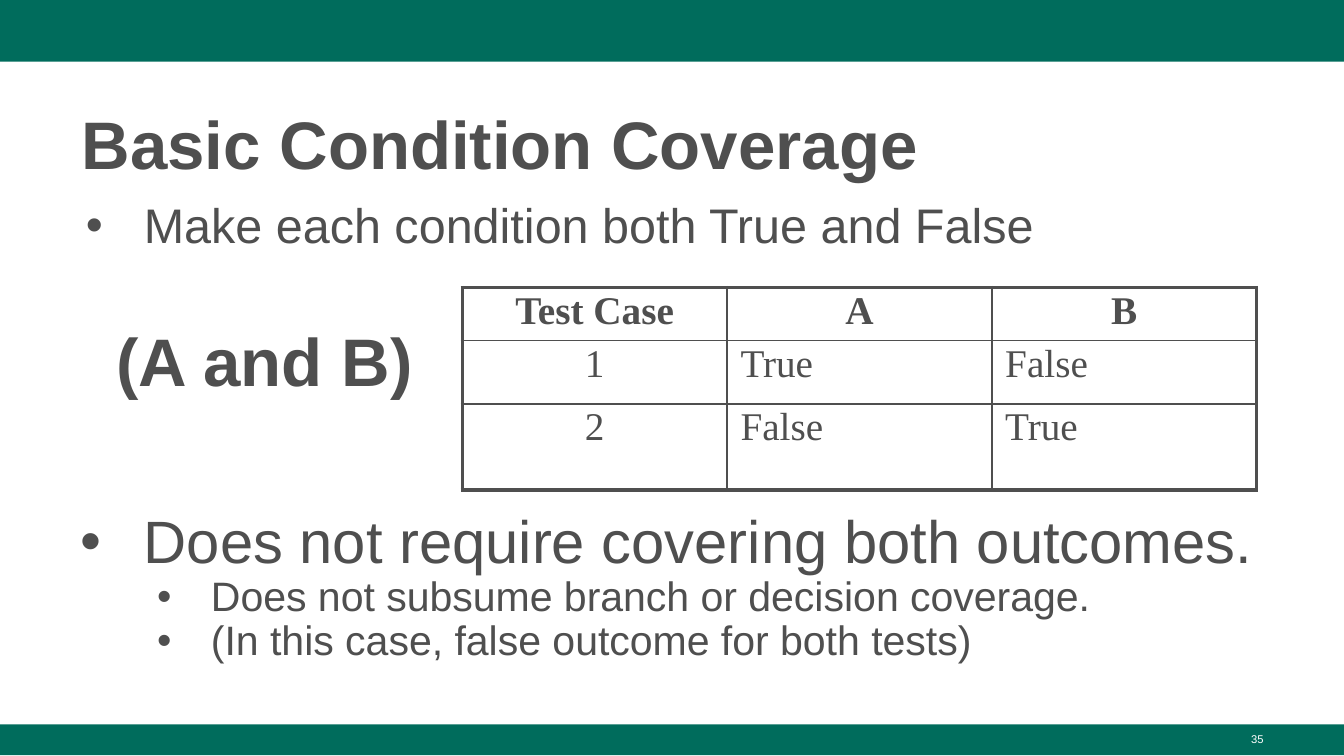
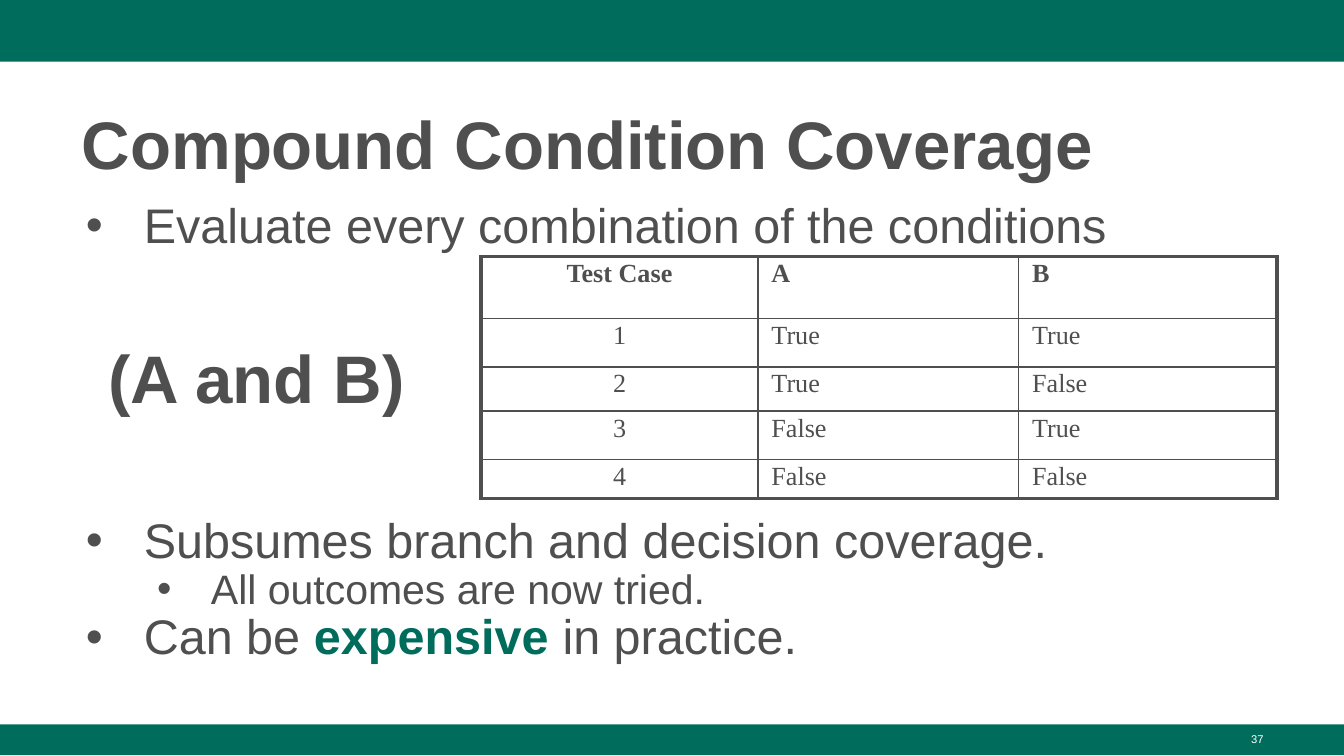
"""Build two slides on basic and compound condition coverage."""
from lxml import etree
from pptx import Presentation
from pptx import util as u
from pptx.dml.color import RGBColor
from pptx.enum import shapes, text
from pptx.oxml import parse_xml
from pptx.oxml.ns import qn

Inches, Pt = u.Inches, u.Pt
GREEN, GREY, WHITE = "006C5C", "4F4F4F", "FFFFFF"
NS = 'xmlns:a="http://schemas.openxmlformats.org/drawingml/2006/main"'
LEFT, CENTER, RIGHT = text.PP_ALIGN.LEFT, text.PP_ALIGN.CENTER, text.PP_ALIGN.RIGHT
LINE_SPACING = 0.9


def style(font, size, color=GREY, bold=False, name="Arial"):
    font.name, font.size, font.bold = name, Pt(size), bold
    font.color.rgb = RGBColor.from_string(color)


def add_frame(slide, box, insets):
    frame = slide.shapes.add_textbox(*map(Inches, box)).text_frame
    frame.word_wrap = True
    (frame.margin_left, frame.margin_top,
     frame.margin_right, frame.margin_bottom) = map(Inches, insets)
    return frame


pages = [
    dict(
        title="Basic Condition Coverage", number="35",
        bullets=[
            (0, 0.43, 26, 0, ["Make each condition both True and False"]),
            (0, 0.47, 32, 138, ["Does not require covering both outcomes."]),
            (1, 0.4, 22, 0, ["Does not subsume branch or decision coverage."]),
            (1, 0.4, 22, 0, ["(In this case, false outcome for both tests)"]),
        ],
        table_at=(3.44, 2.14), columns=[1.97] * 3, heights=[0.37, 0.47, 0.64],
        table_size=21, header_align=CENTER,
        cases=[("True", "False"), ("False", "True")],
        expression_at=(0.77, 2.28),
    ),
    dict(
        title="Compound Condition Coverage", number="37",
        bullets=[
            (0, 0.43, 26, 0, ["Evaluate every combination of the conditions"]),
            (0, 0.43, 26, 140.5, ["Subsumes branch and decision coverage."]),
            (1, 0.4, 22, 0, ["All outcomes are now tried."]),
            (0, 0.43, 26, 0, ["Can be ", "expensive", " in practice."]),
        ],
        table_at=(3.58, 1.91), columns=[2.06, 1.94, 1.92],
        heights=[0.46, 0.36, 0.33, 0.36, 0.28],
        table_size=14, header_align=LEFT,
        cases=[("True", "True"), ("True", "False"), ("False", "True"), ("False", "False")],
        expression_at=(0.71, 2.4),
    ),
]

deck = Presentation()
deck.slide_width = Inches(10)
deck.slide_height = deck.slide_width * 9 // 16

for page in pages:
    slide = deck.slides.add_slide(deck.slide_layouts[6])

    for top, height in [(0, 0.46), (5.39, 0.23)]:
        band = slide.shapes.add_shape(
            shapes.MSO_SHAPE.RECTANGLE, 0, Inches(top), deck.slide_width, Inches(height))
        band.shadow.inherit = False
        band.fill.solid()
        band.fill.fore_color.rgb = RGBColor.from_string(GREEN)
        band.line.fill.background()

    heading = add_frame(slide, (0.51, 0.67, 8.99, 0.73), (0.1, 0.05, 0.05, 0.05))
    heading.vertical_anchor = text.MSO_ANCHOR.MIDDLE
    title = heading.paragraphs[0]
    title.text = page["title"]
    title.line_spacing = 1.08
    style(title.font, 36, bold=True)

    body = add_frame(slide, (0.51, 1.4, 8.99, 3.81), (0.06, 0.1, 0.1, 0.05))
    for index, (level, hang, size, before, parts) in enumerate(page["bullets"]):
        bullet = body.add_paragraph() if index else body.paragraphs[0]
        bullet.level = level
        bullet.line_spacing = LINE_SPACING
        if before:
            bullet.space_before = Pt(before)
        props = bullet._p.get_or_add_pPr()
        props.set("marL", str(Inches(0.5 * (level + 1))))
        props.set("indent", str(-Inches(hang)))
        color = etree.SubElement(props, qn("a:buClr"))
        etree.SubElement(color, qn("a:srgbClr"), val=GREY)
        etree.SubElement(props, qn("a:buFont"), typeface="Arial")
        etree.SubElement(props, qn("a:buChar"), char="•")
        style(bullet.font, size)
        for part in parts:
            run = bullet.add_run()
            run.text = part
            if part == "expensive":
                style(run.font, size, GREEN, True)

    rows = [("Test Case", "A", "B")]
    rows += [(str(number), *case) for number, case in enumerate(page["cases"], 1)]
    columns, heights = page["columns"], page["heights"]
    cases = slide.shapes.add_table(
        len(rows), len(columns), *map(Inches, page["table_at"]),
        Inches(sum(columns)), Inches(sum(heights))).table
    cases.first_row = cases.horz_banding = False
    for column, width in zip(cases.columns, columns):
        column.width = Inches(width)
    for r, values in enumerate(rows):
        cases.rows[r].height = Inches(heights[r])
        for c, value in enumerate(values):
            cell = cases.cell(r, c)
            cell.margin_left = cell.margin_right = Inches(0.1)
            cell.margin_top = cell.margin_bottom = Inches(0.04)
            edges = {"L": c == 0, "R": c == len(columns) - 1,
                     "T": r == 0, "B": r == len(rows) - 1}
            for side, outer in edges.items():
                cell._tc.get_or_add_tcPr().append(parse_xml(
                    f'<a:ln{side} {NS} w="{Pt(2.25 if outer else 1)}"><a:solidFill>'
                    f'<a:srgbClr val="{GREY}"/></a:solidFill></a:ln{side}>'))
            cell.fill.background()
            entry = cell.text_frame.paragraphs[0]
            entry.text = value
            entry.line_spacing = LINE_SPACING
            entry.alignment = CENTER if c == 0 else page["header_align"] if r == 0 else LEFT
            style(entry.font, page["table_size"], bold=r == 0, name="Times New Roman")

    expression = add_frame(slide, (*page["expression_at"], 2.57, 0.63), [0.1] * 4).paragraphs[0]
    expression.text = "(A and B)"
    style(expression.font, 36, bold=True)

    number = add_frame(slide, (7.17, 5.4, 2.33, 0.23), (0.1, 0.05, 0.1, 0.05)).paragraphs[0]
    number.text = page["number"]
    number.alignment = RIGHT
    style(number.font, 6, WHITE)

deck.save("out.pptx")
